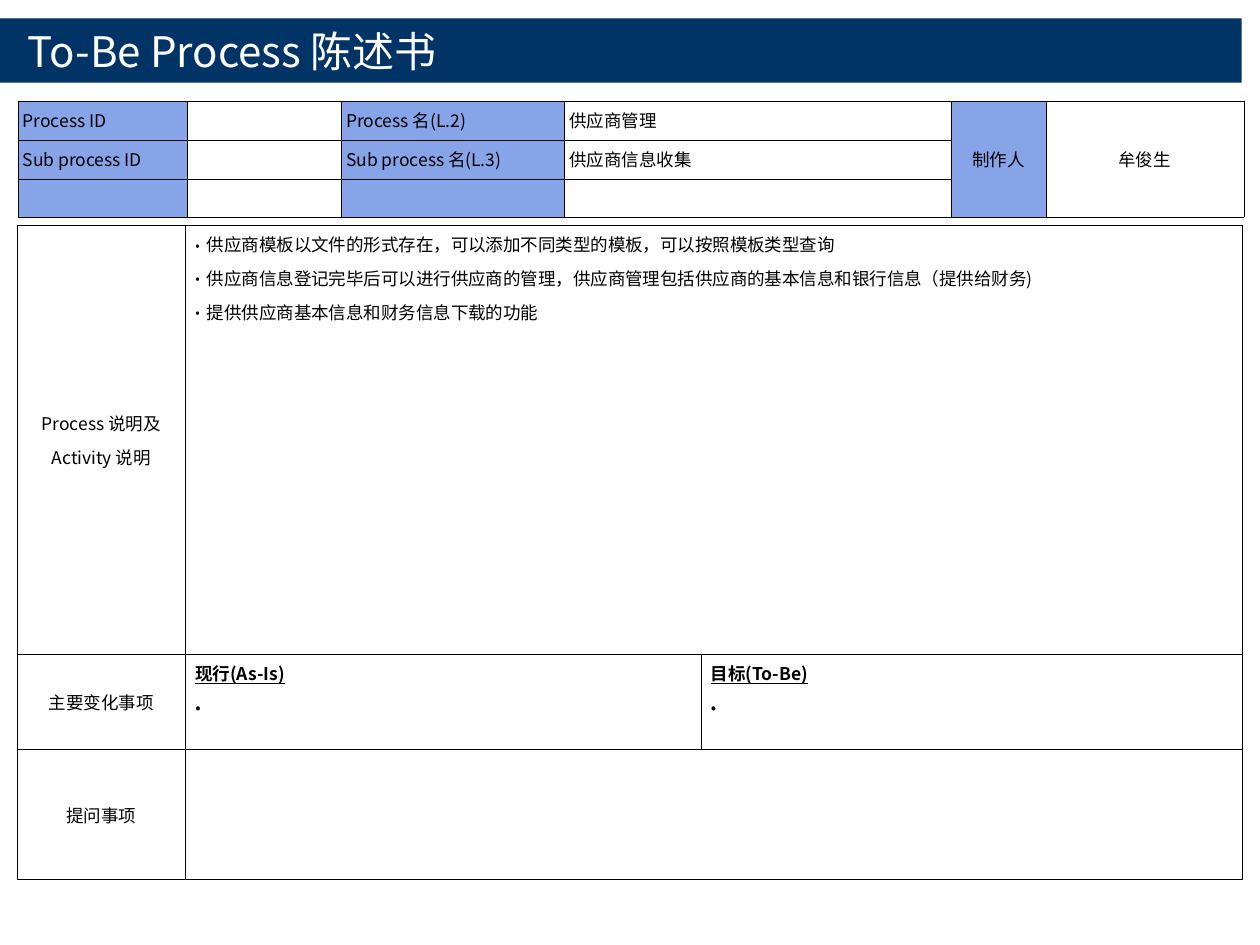
from dataclasses import dataclass

from lxml import etree
from pptx import Presentation
from pptx import util as u
from pptx.dml.color import RGBColor
from pptx.enum import shapes, text
from pptx.oxml import ns

FONT = "Noto Sans CJK KR"
NAVY = RGBColor(0x00, 0x33, 0x66)
BLUE = RGBColor(0x87, 0xA4, 0xE9)
WHITE = RGBColor(0xFF, 0xFF, 0xFF)
BLACK = RGBColor(0x00, 0x00, 0x00)
BODY_SIZE = u.Pt(10)
BORDER = u.Pt(0.11)
NARROW, WIDE, VERTICAL = u.Cm(0.1), u.Cm(0.2), u.Cm(0.13)
HANGING = u.Cm(0.23)


@dataclass
class Line:
    """One paragraph; bullet is the bullet size in percent, 0 for none."""
    words: str
    bullet: int = 0
    heading: bool = False


@dataclass
class Entry:
    """Content of one table cell."""
    lines: tuple[Line, ...] = ()
    fill: RGBColor = WHITE
    centred: bool = False
    left: int = NARROW
    rows: int = 1
    columns: int = 1


@dataclass
class Grid:
    """Position, sizes in cm, and cells keyed by (row, column)."""
    left: float
    top: float
    columns: tuple[float, ...]
    rows: tuple[float, ...]
    entries: dict[tuple[int, int], Entry]


def label(*words: str, fill: RGBColor = WHITE, **options) -> Entry:
    return Entry(tuple(Line(item) for item in words), fill, **options)


def comparison(heading: str) -> Entry:
    return Entry((Line(heading, heading=True), Line(" ", bullet=90)), left=WIDE)


HEADER = Grid(0.36, 2.03, (3.42, 3.1, 4.5, 7.8, 1.9, 3.99), (0.79, 0.79, 0.74), {
    (0, 0): label("Process ID", fill=BLUE),
    (0, 2): label("Process 名(L.2)", fill=BLUE),
    (0, 3): label("供应商管理"),
    (0, 4): label("制作人", fill=BLUE, centred=True, rows=3),
    (0, 5): label("牟俊生", centred=True, rows=3),
    (1, 0): label("Sub process ID", fill=BLUE),
    (1, 2): label("Sub process 名(L.3)", fill=BLUE),
    (1, 3): label("供应商信息收集"),
    (2, 0): label(fill=BLUE),
    (2, 2): label(fill=BLUE),
})

DESCRIPTION = (
    "供应商模板以文件的形式存在，可以添加不同类型的模板，可以按照模板类型查询",
    "供应商信息登记完毕后可以进行供应商的管理，供应商管理包括供应商的基本信息和银行信息（提供给财务)",
    "提供供应商基本信息和财务信息下载的功能",
)

DETAILS = Grid(0.34, 4.54, (3.4, 10.39, 10.9), (8.64, 1.93, 2.62), {
    (0, 0): label("Process 说明及", "Activity 说明", centred=True),
    (0, 1): Entry(tuple(Line(item, bullet=75) for item in DESCRIPTION),
                  left=WIDE, columns=2),
    (1, 0): label("主要变化事项", centred=True),
    (1, 1): comparison("现行(As-Is)"),
    (1, 2): comparison("目标(To-Be)"),
    (2, 0): label("提问事项", centred=True),
    (2, 1): Entry(columns=2),
})


def add_element(parent, tag: str, **attributes: str):
    return etree.SubElement(parent, ns.qn(tag), attributes)


def style_run(run, size: int, color: RGBColor) -> None:
    run.font.name = FONT
    run.font.size = size
    run.font.color.rgb = color
    add_element(run._r.get_or_add_rPr(), "a:ea", typeface=FONT)


def add_bullet(paragraph, percent: int) -> None:
    properties = paragraph._p.get_or_add_pPr()
    color = add_element(properties, "a:buClr")
    add_element(color, "a:srgbClr", val=str(BLACK))
    add_element(properties, "a:buSzPct", val=str(percent * 1000))
    add_element(properties, "a:buFont", typeface=FONT)
    add_element(properties, "a:buChar", char="•")


def draw_borders(cell) -> None:
    properties = cell._tc.get_or_add_tcPr()
    for side in ("a:lnL", "a:lnR", "a:lnT", "a:lnB"):
        border = add_element(properties, side, w=str(int(BORDER)))
        fill = add_element(border, "a:solidFill")
        add_element(fill, "a:srgbClr", val=str(BLACK))


def write_line(paragraph, line: Line, entry: Entry, first: bool) -> None:
    paragraph.text = line.words
    if entry.centred:
        paragraph.alignment = text.PP_ALIGN.CENTER
    if not first:
        paragraph.space_before = u.Pt(2.5)
    paragraph.space_after = u.Pt(2.5)
    if line.bullet or line.heading:
        properties = paragraph._p.get_or_add_pPr()
        properties.set("marL", str(int(HANGING)))
        properties.set("indent", str(-int(HANGING)))
    if line.bullet:
        add_bullet(paragraph, line.bullet)
    for run in paragraph.runs:
        style_run(run, BODY_SIZE, BLACK)
        run.font.bold = run.font.underline = line.heading


def fill_cell(cell, entry: Entry) -> None:
    cell.fill.solid()
    cell.fill.fore_color.rgb = entry.fill
    cell.margin_left, cell.margin_right = entry.left, NARROW
    cell.margin_top = cell.margin_bottom = VERTICAL
    cell.vertical_anchor = (text.MSO_ANCHOR.MIDDLE if entry.centred
                            else text.MSO_ANCHOR.TOP)
    frame = cell.text_frame
    for index, line in enumerate(entry.lines):
        paragraph = frame.add_paragraph() if index else frame.paragraphs[0]
        write_line(paragraph, line, entry, first=index == 0)
    if not entry.lines:
        # Keeps empty rows from growing to the default text size
        add_element(frame.paragraphs[0]._p, "a:endParaRPr", sz="1000")


def draw_grid(slide, grid: Grid) -> None:
    table = slide.shapes.add_table(
        len(grid.rows), len(grid.columns), u.Cm(grid.left), u.Cm(grid.top),
        u.Cm(sum(grid.columns)), u.Cm(sum(grid.rows))).table
    table.first_row = table.horz_banding = False
    for column, width in zip(table.columns, grid.columns):
        column.width = u.Cm(width)
    for row, height in zip(table.rows, grid.rows):
        row.height = u.Cm(height)
    for row in range(len(grid.rows)):
        for column in range(len(grid.columns)):
            cell = table.cell(row, column)
            entry = grid.entries.get((row, column), Entry())
            draw_borders(cell)
            fill_cell(cell, entry)
            if entry.rows > 1 or entry.columns > 1:
                cell.merge(table.cell(row + entry.rows - 1,
                                      column + entry.columns - 1))


def draw_title(slide, words: str) -> None:
    shape = slide.shapes.add_shape(shapes.MSO_SHAPE.RECTANGLE, 0, u.Cm(0.37),
                                   u.Cm(25.03), u.Cm(1.3))
    shape.shadow.inherit = False
    shape.fill.solid()
    shape.fill.fore_color.rgb = NAVY
    shape.line.fill.background()
    frame = shape.text_frame
    frame.text = words
    frame.word_wrap = True
    frame.vertical_anchor = text.MSO_ANCHOR.MIDDLE
    frame.margin_left = u.Cm(0.56)
    paragraph = frame.paragraphs[0]
    paragraph.alignment = text.PP_ALIGN.LEFT
    style_run(paragraph.runs[0], u.Pt(24), WHITE)


def main() -> None:
    presentation = Presentation()
    presentation.slide_width, presentation.slide_height = u.Cm(25.4), u.Cm(19.05)
    slide = presentation.slides.add_slide(presentation.slide_layouts[6])
    draw_title(slide, "To-Be Process 陈述书")
    draw_grid(slide, DETAILS)
    draw_grid(slide, HEADER)
    presentation.save("out.pptx")


if __name__ == "__main__":
    main()
